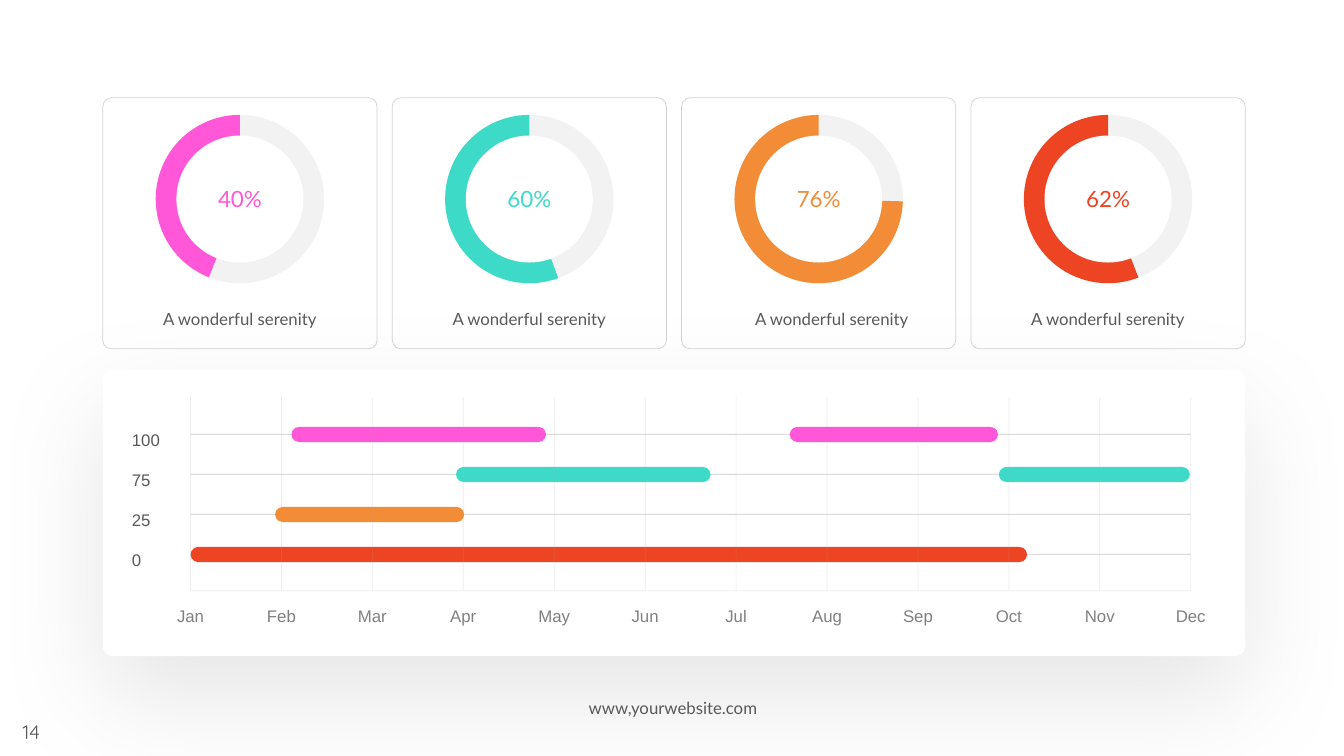
from lxml import etree
from pptx import Presentation
from pptx.dml.color import RGBColor
from pptx.enum.shapes import MSO_CONNECTOR, MSO_SHAPE
from pptx.enum.text import MSO_ANCHOR, PP_ALIGN
from pptx.oxml.ns import qn
from pptx.util import Inches, Pt

ROUND_RECT, OVAL, PIE = MSO_SHAPE.ROUNDED_RECTANGLE, MSO_SHAPE.OVAL, MSO_SHAPE.PIE
STRAIGHT = MSO_CONNECTOR.STRAIGHT
LEFT, CENTER = PP_ALIGN.LEFT, PP_ALIGN.CENTER
MIDDLE = MSO_ANCHOR.MIDDLE

PINK = RGBColor(0xFF, 0x57, 0xD7)
TEAL = RGBColor(0x3E, 0xDA, 0xC8)
ORANGE = RGBColor(0xF3, 0x8C, 0x37)
RED = RGBColor(0xED, 0x45, 0x23)
WHITE = RGBColor(0xFF, 0xFF, 0xFF)
TRACK = RGBColor(0xF2, 0xF2, 0xF2)
RULE = RGBColor(0xA6, 0xA6, 0xA6)
DARK = RGBColor(0x59, 0x59, 0x59)
GREY = RGBColor(0x80, 0x80, 0x80)

CARD_W, CARD_H, CARD_PITCH = 2.72, 2.49, 2.87
CARDS = [
    ("40%", PINK, 111.61, 0),
    ("60%", TEAL, 69.92, 0),
    ("76%", ORANGE, 1.58, 0.13),
    ("62%", RED, 68.85, 0),
]
MONTHS = "Jan Feb Mar Apr May Jun Jul Aug Sep Oct Nov Dec".split()
ROWS = [
    ("100", PINK, [(1.11, 2.8), (6.59, 2.29)]),
    ("75", TEAL, [(2.92, 2.8), (8.89, 2.1)]),
    ("25", ORANGE, [(0.93, 2.08)]),
    ("0", RED, [(0, 9.2)]),
]


def set_alpha(color_parent, percent):
    color = color_parent.find(".//" + qn("a:srgbClr"))
    etree.SubElement(color, qn("a:alpha"), val=str(percent * 1000))


def style_line(sp, width, alpha):
    sp.line.color.rgb = RULE
    sp.line.width = Pt(width)
    set_alpha(sp.line._ln, alpha)


def add_shape(slide, kind, x, y, w, h, fill=None, adjustments=()):
    sp = slide.shapes.add_shape(kind, Inches(x), Inches(y), Inches(w), Inches(h))
    sp.shadow.inherit = False
    for i, value in enumerate(adjustments):
        sp.adjustments[i] = value
    sp.line.fill.background()
    if fill is None:
        sp.fill.background()
    else:
        sp.fill.solid()
        sp.fill.fore_color.rgb = fill
    return sp


def add_rule(slide, x1, y1, x2, y2, width, alpha):
    cxn = slide.shapes.add_connector(
        STRAIGHT, Inches(x1), Inches(y1), Inches(x2), Inches(y2))
    style_line(cxn, width, alpha)
    etree.SubElement(cxn._element.spPr, qn("a:effectLst"))


def write(sp, text, size, font, color, align=CENTER):
    tf = sp.text_frame
    tf.word_wrap = True
    tf.text = text
    p = tf.paragraphs[0]
    p.alignment = align
    r = p.runs[0]
    r.font.size = Pt(size)
    r.font.name = font
    r.font.color.rgb = color
    return p


def add_text(slide, x, y, w, h, *style):
    sp = slide.shapes.add_textbox(Inches(x), Inches(y), Inches(w), Inches(h))
    return write(sp, *style)


def space_lines(p):
    p.line_spacing = 1.3
    p.space_after = Pt(6)


def add_soft_shadow(sp):
    effects = sp._element.spPr.find(qn("a:effectLst"))
    shadow = etree.SubElement(
        effects, qn("a:outerShdw"), blurRad=str(Pt(80)), dist=str(Pt(30)),
        dir="5400000", algn="t", rotWithShape="0")
    etree.SubElement(shadow, qn("a:srgbClr"), val="000000")
    set_alpha(shadow, 10)


def add_card(slide, x, y, w, h, percent, color, start, label_shift):
    card = add_shape(slide, ROUND_RECT, x, y, w, h, adjustments=[0.034])
    style_line(card, 0.5, 50)
    ring, hole = 1.67, 1.26
    cx, cy = x + w / 2, y + 0.17 + ring / 2
    box = (cx - ring / 2, cy - ring / 2, ring, ring)
    add_shape(slide, OVAL, *box, TRACK)
    add_shape(slide, PIE, *box, color, [start * 0.6, 270 * 0.6])
    center = add_shape(slide, OVAL, cx - hole / 2, cy - hole / 2, hole, hole, WHITE)
    center.text_frame.vertical_anchor = MIDDLE
    write(center, percent, 16, "Lato", color)
    space_lines(add_text(slide, x + 0.13 + label_shift, y + 1.98, w - 0.26, 0.33,
                         "A wonderful serenity", 12, "Lato", DARK))


def add_timeline(slide, x, y, w, h):
    add_soft_shadow(add_shape(slide, ROUND_RECT, x, y, w, h, WHITE, [0.034]))
    left, right = x + 0.87, x + w - 0.54
    top, bottom = y + 0.27, y + 2.19
    month_w = (right - left) / (len(MONTHS) - 1)
    row_h, bar_h = 0.397, 0.15
    for i, (label, color, bars) in enumerate(ROWS):
        row_y = y + 0.64 + i * row_h
        add_rule(slide, left, row_y, right, row_y, 0.75, 40)
        for start, length in bars:
            add_shape(slide, ROUND_RECT, left + start * month_w, row_y - bar_h / 2,
                      length * month_w, bar_h, color, [0.5])
        space_lines(add_text(slide, x + 0.19, row_y - 0.16, 0.6, 0.34,
                             label, 12, "Arial", DARK, LEFT))
    for i, month in enumerate(MONTHS):
        month_x = left + i * month_w
        add_rule(slide, month_x, top, month_x, bottom, 0.5, 20)
        add_text(slide, month_x - 0.35, bottom + 0.1, 0.7, 0.28,
                 month, 12, "Arial", GREY)
    add_rule(slide, left, bottom, right, bottom, 0.5, 20)


def add_footer(slide, x, y, w, h):
    add_text(slide, x, y + 0.22, 0.62, h - 0.22, "14", 14, "Quicksand", DARK)
    add_text(slide, x + w / 2 - 1.21, y, 2.44, 0.3,
             "www,yourwebsite.com", 12, "Lato", DARK)


def main():
    prs = Presentation()
    prs.slide_width, prs.slide_height = Inches(13.33), Inches(7.5)
    slide = prs.slides.add_slide(prs.slide_layouts[6])
    add_timeline(slide, 1.02, 3.67, 11.33, 2.84)
    for i, card in enumerate(CARDS):
        add_card(slide, 1.02 + i * CARD_PITCH, 0.97, CARD_W, CARD_H, *card)
    add_footer(slide, 0, 6.87, 13.33, 0.56)
    prs.save("out.pptx")


if __name__ == "__main__":
    main()
